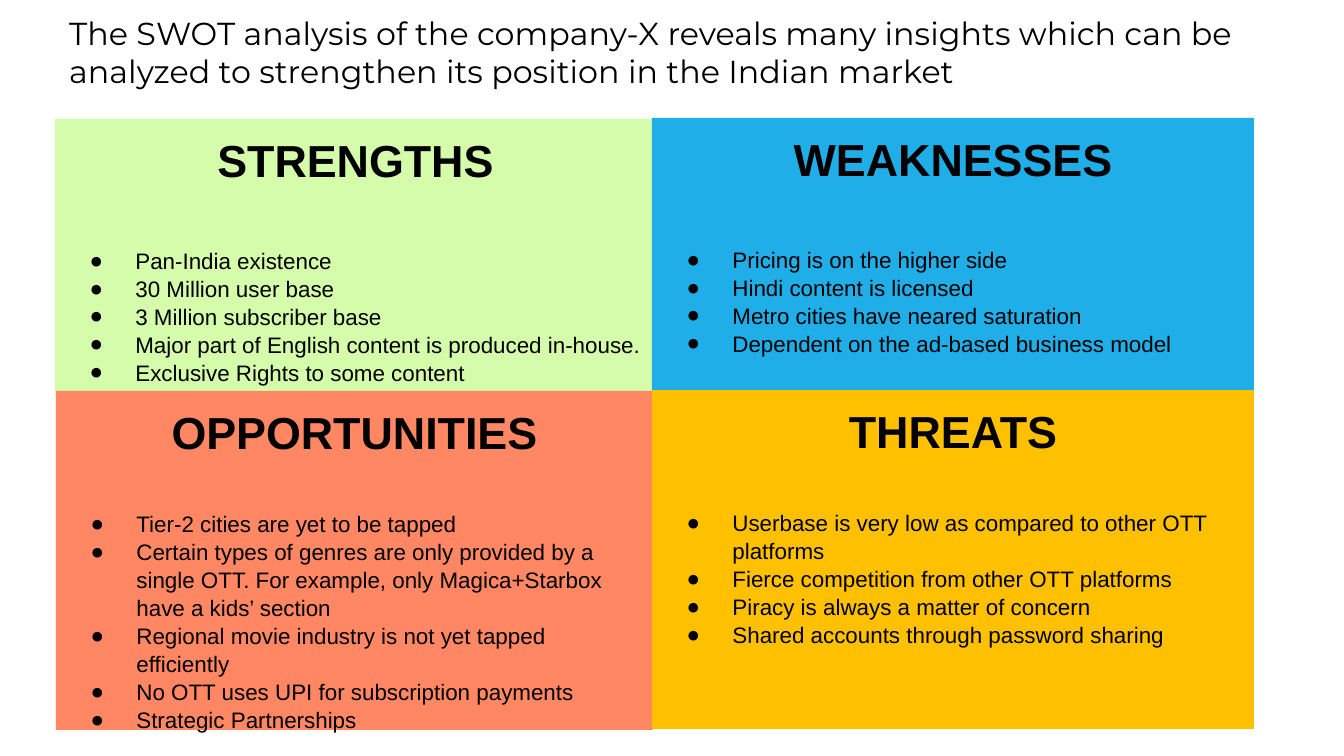
from dataclasses import dataclass

from lxml import etree
from pptx import Presentation
from pptx import util as u
from pptx.dml.color import RGBColor
from pptx.enum import shapes, text
from pptx.oxml import ns

PX = 914400 / 134.4  # EMU per px


@dataclass(frozen=True)
class Theme:
    ink: str = "000000"
    paper: str = "FFFFFF"
    green: str = "D5FCAB"
    blue: str = "1FAEE8"
    coral: str = "FF8763"
    amber: str = "FFC000"
    title_font: str = "Montserrat"
    body_font: str = "Arial"
    title_size: int = 17
    heading_size: int = 24
    bullet_size: int = 12
    bullet_spacing: float = 1.04


T = Theme()

# Heading, fill, box in px, gap under the heading in points, bullets
PANELS = [
    ("STRENGTHS", T.green, (55, 119, 601, 272), 32, [
        "Pan-India existence",
        "30 Million user base",
        "3 Million subscriber base",
        "Major part of English content is produced in-house.",
        "Exclusive Rights to some content",
    ]),
    ("WEAKNESSES", T.blue, (652, 118, 602, 272), 32, [
        "Pricing is on the higher side",
        "Hindi content is licensed",
        "Metro cities have neared saturation",
        "Dependent on the ad-based business model",
    ]),
    ("OPPORTUNITIES", T.coral, (56, 391, 597, 339), 27.5, [
        "Tier-2 cities are yet to be tapped",
        "Certain types of genres are only provided by a single OTT. "
        "For example, only Magica+Starbox have a kids’ section",
        "Regional movie industry is not yet tapped efficiently",
        "No OTT uses UPI for subscription payments",
        "Strategic Partnerships",
    ]),
    ("THREATS", T.amber, (652, 390, 602, 339), 27.5, [
        "Userbase is very low as compared to other OTT platforms",
        "Fierce competition from other OTT platforms",
        "Piracy is always a matter of concern",
        "Shared accounts through password sharing",
    ]),
]


def px(n):
    return u.Emu(round(n * PX))


def add_box(s, box, fill):
    """Add a plain filled rectangle and return its text frame."""
    sp = s.shapes.add_shape(shapes.MSO_SHAPE.RECTANGLE, *map(px, box))
    sp.shadow.inherit = False
    sp.fill.solid()
    sp.fill.fore_color.rgb = RGBColor.from_string(fill)
    sp.line.fill.background()
    tf = sp.text_frame
    tf.word_wrap = True
    tf.vertical_anchor = text.MSO_ANCHOR.TOP
    tf.margin_left = tf.margin_right = tf.margin_top = tf.margin_bottom = u.Inches(0.1)
    return tf


def write(p, words, font, size, bold=False, align=text.PP_ALIGN.LEFT):
    p.text = words
    p.alignment = align
    for r in p.runs:
        r.font.name = font
        r.font.size = u.Pt(size)
        r.font.bold = bold
        r.font.color.rgb = RGBColor.from_string(T.ink)


def add_bullet(p):
    """Give the paragraph a hanging round bullet."""
    pPr = p._p.get_or_add_pPr()
    pPr.set("marL", str(u.Inches(0.5)))
    pPr.set("indent", str(u.Inches(-0.34)))
    color = etree.SubElement(pPr, ns.qn("a:buClr"))
    etree.SubElement(color, ns.qn("a:srgbClr"), val=T.ink)
    etree.SubElement(pPr, ns.qn("a:buFont"), typeface=T.body_font)
    etree.SubElement(pPr, ns.qn("a:buChar"), char="●")


def add_title(s, words):
    tf = add_box(s, (56, 0, 1198, 103), T.paper)
    write(tf.paragraphs[0], words, T.title_font, T.title_size)


def add_panel(s, heading, fill, box, gap, bullets):
    tf = add_box(s, box, fill)
    p = tf.paragraphs[0]
    write(p, heading, T.body_font, T.heading_size, True, text.PP_ALIGN.CENTER)
    p.space_after = u.Pt(gap)
    for words in bullets:
        p = tf.add_paragraph()
        add_bullet(p)
        write(p, words, T.body_font, T.bullet_size)
        p.line_spacing = T.bullet_spacing


def main():
    prs = Presentation()
    prs.slide_width, prs.slide_height = px(1344), px(756)
    s = prs.slides.add_slide(prs.slide_layouts[6])

    # Title
    add_title(s, "The SWOT analysis of the company-X reveals many insights which "
                 "can be analyzed to strengthen its position in the Indian market")

    # Four quadrants
    for panel in PANELS:
        add_panel(s, *panel)

    prs.save("out.pptx")


if __name__ == "__main__":
    main()
